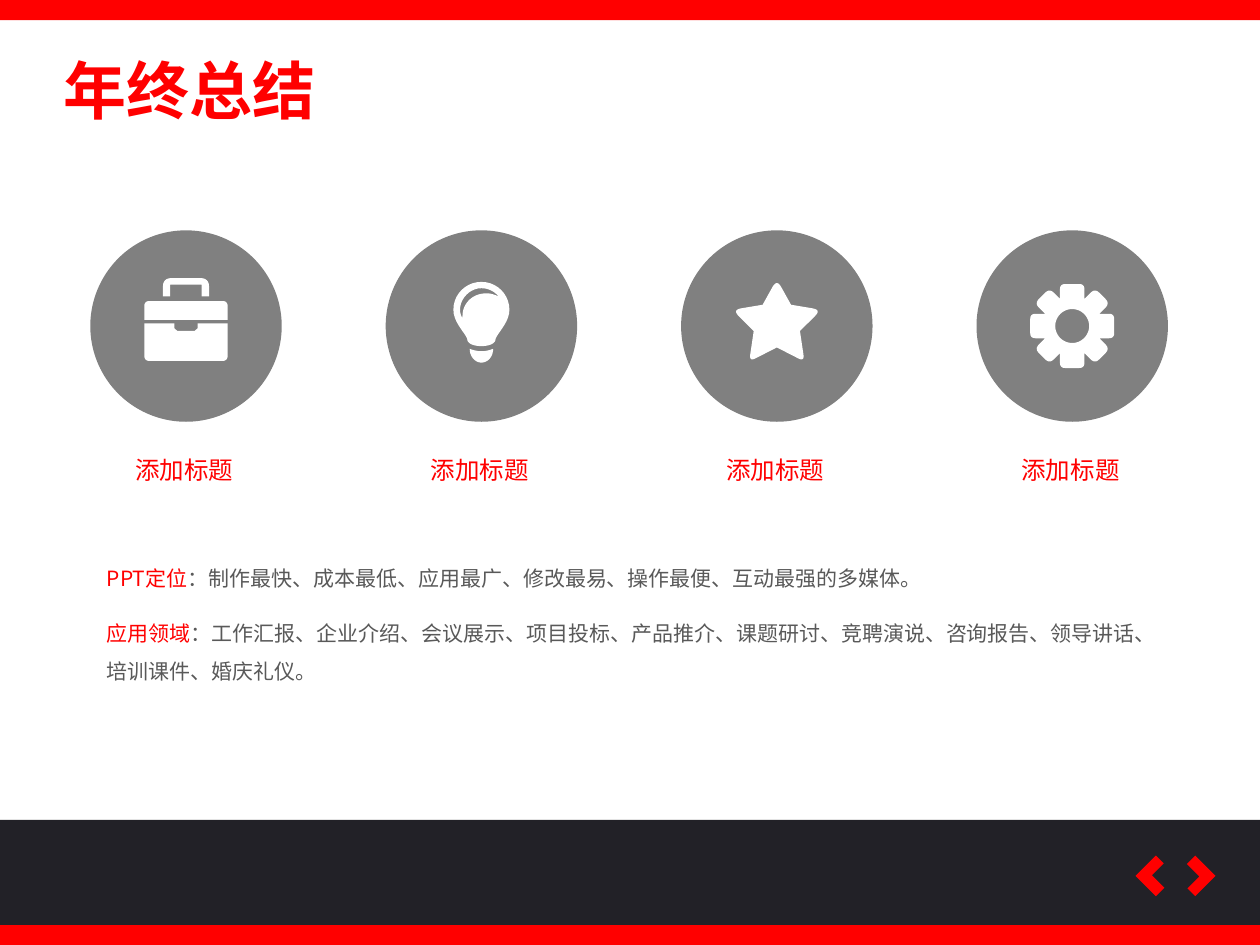
import math
from dataclasses import dataclass
from typing import NamedTuple

from lxml import etree
from pptx import Presentation
from pptx.dml.color import RGBColor
from pptx.enum.shapes import MSO_SHAPE
from pptx.enum.text import MSO_AUTO_SIZE
from pptx.oxml.ns import qn
from pptx.util import Pt

RECT, OVAL, CHEVRON = MSO_SHAPE.RECTANGLE, MSO_SHAPE.OVAL, MSO_SHAPE.CORNER
FIT_SHAPE = MSO_AUTO_SIZE.SHAPE_TO_FIT_TEXT

Point = tuple[float, float]
Corner = tuple[float, float, float]  # x, y, length cut off each edge
Outline = list[Point]


@dataclass(frozen=True)
class Theme:
    font: str = "Noto Sans CJK SC"
    red: RGBColor = RGBColor(0xFF, 0x00, 0x00)
    dark: RGBColor = RGBColor(0x22, 0x21, 0x27)
    grey: RGBColor = RGBColor(0x80, 0x80, 0x80)
    body: RGBColor = RGBColor(0x59, 0x59, 0x59)
    white: RGBColor = RGBColor(0xFF, 0xFF, 0xFF)
    title_size: float = 36
    label_size: float = 14
    body_size: float = 12


class Box(NamedTuple):
    x: float
    y: float
    w: float
    h: float


class Feature(NamedTuple):
    label: str
    icon: list[list[Outline]]  # each part is an outer outline plus its holes


class Note(NamedTuple):
    box: Box
    lead: str
    detail: str


THEME = Theme()


def bezier(a: Point, b: Point, c: Point, d: Point, steps: int = 10) -> Outline:
    """Sample a cubic curve, leaving out its first point."""
    curve = []
    for i in range(1, steps + 1):
        t = i / steps
        u = 1 - t
        weights = (u**3, 3 * u * u * t, 3 * u * t * t, t**3)
        curve.append(tuple(sum(k * q[axis] for k, q in zip(weights, (a, b, c, d)))
                           for axis in (0, 1)))
    return curve


def curved(start: Point, *segments: tuple[Point, Point, Point]) -> Outline:
    outline = [start]
    for segment in segments:
        outline += bezier(outline[-1], *segment)
    return outline


def rounded(corners: list[Corner]) -> Outline:
    """Polygon whose corners are softened by their own cut length."""
    outline = []
    for i, (x, y, cut) in enumerate(corners):
        if not cut:
            outline.append((x, y))
            continue
        ends = []
        for nx, ny, _ in (corners[i - 1], corners[(i + 1) % len(corners)]):
            k = cut / math.hypot(nx - x, ny - y)
            ends.append((x + k * (nx - x), y + k * (ny - y)))
        controls = [(ex + (x - ex) * 2 / 3, ey + (y - ey) * 2 / 3) for ex, ey in ends]
        outline += [ends[0]] + bezier(ends[0], *controls, ends[1], steps=6)
    return outline


def mirrored(half: list[Corner]) -> list[Corner]:
    """Close a right-hand half into a shape symmetric about x = 0."""
    return half + [(-x, y, cut) for x, y, cut in reversed(half) if x]


def briefcase() -> list[list[Outline]]:
    handle = [(13.2, -27.4, 5), (13.2, -17, 0), (9, -17, 0), (9, -23.6, 0)]
    lid = [(23.8, -14.3, 3), (23.8, -3.5, 0)]
    base = [(6.6, -1.5, 0), (23.8, -1.5, 0), (23.8, 20, 3)]
    notch = [(-6.6, -1.5, 0), (-6.6, 1.4, 0), (-5, 2.8, 0), (5, 2.8, 0), (6.6, 1.4, 0)]
    body = base + [(-x, y, cut) for x, y, cut in reversed(base)] + notch[1:]
    return [[rounded(mirrored(handle))], [rounded(body)], [rounded(mirrored(lid))]]


def bulb() -> list[list[Outline]]:
    left = curved((0, -25.2),
                  ((-9, -25.2), (-16, -18), (-16, -9.3)),
                  ((-16, -1.4), (-8, 5), (-8, 8)),
                  ((-8, 9.4), (-5.4, 11.5), (0, 11.5)))
    glass = left + [(-x, y) for x, y in reversed(left[1:-1])]
    gleam = curved((2.9, -18.7),
                   ((-5, -18.7), (-10.8, -13), (-10.8, -5.8)),
                   ((-10.8, -5), (-10.8, -4.5), (-10.8, -4.3)),
                   ((-11.5, -5.8), (-12.2, -7.2), (-12.2, -9.3)),
                   ((-12.2, -15.8), (-6.5, -21.6), (0, -21.6)),
                   ((4.3, -21.6), (8, -19.4), (10, -16.6)),
                   ((8, -18), (5, -18.7), (2.9, -18.7)))
    cap = curved((-6.7, 13),
                 ((-6.7, 17.3), (-3.8, 20.9), (0, 20.9)),
                 ((3.8, 20.9), (6.7, 17.3), (6.7, 13)),
                 ((6.7, 13), (3.6, 14.4), (0, 14.4)),
                 ((-3.6, 14.4), (-6.7, 13), (-6.7, 13)))
    return [[cap], [glass, gleam]]


def star() -> list[list[Outline]]:
    half = [(0, -26.7, 5), (8.1, -12.1, 0), (25.4, -9.2, 5),
            (13.2, 2.9, 0), (15.8, 20.4, 4), (0, 12.3, 0)]
    return [[rounded(mirrored(half))]]


def gear() -> list[list[Outline]]:
    corners = [(-7, -24, 3), (7, -24, 3), (7, -15.5, 0),
               (13, -21.5, 3.5), (21.5, -13, 3.5), (15.5, -7, 0)]
    rim = []
    for _ in range(4):
        rim += corners
        corners = [(-y, x, cut) for x, y, cut in corners]
    hole = [(9.7 * math.cos(math.tau * i / 48), 9.7 * math.sin(math.tau * i / 48))
            for i in range(48)]
    return [[rounded(rim), hole]]


FEATURES = [Feature("添加标题", draw()) for draw in (briefcase, bulb, star, gear)]
NOTES = [
    Note(Box(54, 312.5, 498, 29), "PPT定位",
         "：制作最快、成本最低、应用最广、修改最易、操作最便、互动最强的多媒体。"),
    Note(Box(54, 344, 617, 51), "应用领域",
         "：工作汇报、企业介绍、会议展示、项目投标、产品推介、课题研讨、竞聘演说、"
         "咨询报告、领导讲话、培训课件、婚庆礼仪。"),
]


def paint(sp, color: RGBColor) -> None:
    sp.shadow.inherit = False
    sp.fill.solid()
    sp.fill.fore_color.rgb = color
    sp.line.fill.background()


def add_preset(shapes, kind, box: Box, color: RGBColor):
    sp = shapes.add_shape(kind, *map(Pt, box))
    paint(sp, color)
    return sp


def add_outlines(shapes, outlines: list[Outline], cx: float, cy: float) -> None:
    placed = [[(Pt(cx + x), Pt(cy + y)) for x, y in outline] for outline in outlines]
    builder = shapes.build_freeform(*placed[0][0])
    for i, outline in enumerate(placed):
        if i:
            builder.move_to(*outline[0])
        builder.add_line_segments(outline[1:], close=True)
    paint(builder.convert_to_shape(), THEME.white)


def add_text(s, box: Box, parts: list[tuple[str, RGBColor]], size: float,
             wrap: bool = False, bold: bool = False, spacing: float = 1.0) -> None:
    tf = s.shapes.add_textbox(*map(Pt, box)).text_frame
    tf.word_wrap, tf.auto_size = wrap, FIT_SHAPE
    p = tf.paragraphs[0]
    p.line_spacing = spacing
    p.font.size, p.font.bold, p.font.name = Pt(size), bold, THEME.font
    p.font.color.rgb = parts[0][1]
    east_asian = etree.SubElement(p._p.pPr.find(qn("a:defRPr")), qn("a:ea"))
    east_asian.set("typeface", THEME.font)
    for text, color in parts:
        r = p.add_run()
        r.text = text
        if color != parts[0][1]:
            r.font.color.rgb = color


def add_feature(s, feature: Feature, x: float) -> None:
    y, size = 131.6, 109.4
    group = s.shapes.add_group_shape().shapes
    add_preset(group, OVAL, Box(x, y, size, size), THEME.grey)
    for part in feature.icon:
        add_outlines(group, part, x + size / 2, y + size / 2)
    add_text(s, Box(x + 18.6, 256.3, 71, 24.2), [(feature.label, THEME.red)],
             THEME.label_size)


def main() -> None:
    prs = Presentation()
    prs.slide_width, prs.slide_height = Pt(720), Pt(540)
    s = prs.slides.add_slide(prs.slide_layouts[6])
    add_preset(s.shapes, RECT, Box(0, 528.5, 720, 11.5), THEME.red)
    add_preset(s.shapes, RECT, Box(0, 468.5, 720, 60), THEME.dark)
    for x, angle in ((652.3, 45), (674.8, 225)):
        sp = add_preset(s.shapes, CHEVRON, Box(x, 492.3, 16.4, 16.4), THEME.red)
        sp.rotation = angle
        sp.adjustments[0], sp.adjustments[1] = 0.415, 0.386
    for i, feature in enumerate(FEATURES):
        add_feature(s, feature, 51.6 + 168.8 * i)
    for note in NOTES:
        add_text(s, note.box, [(note.lead, THEME.red), (note.detail, THEME.body)],
                 THEME.body_size, wrap=True, spacing=1.5)
    add_preset(s.shapes, RECT, Box(0, 0, 720, 11.5), THEME.red)
    add_text(s, Box(29, 26, 160, 51), [("年终总结", THEME.red)], THEME.title_size, bold=True)
    prs.save("out.pptx")


if __name__ == "__main__":
    main()
